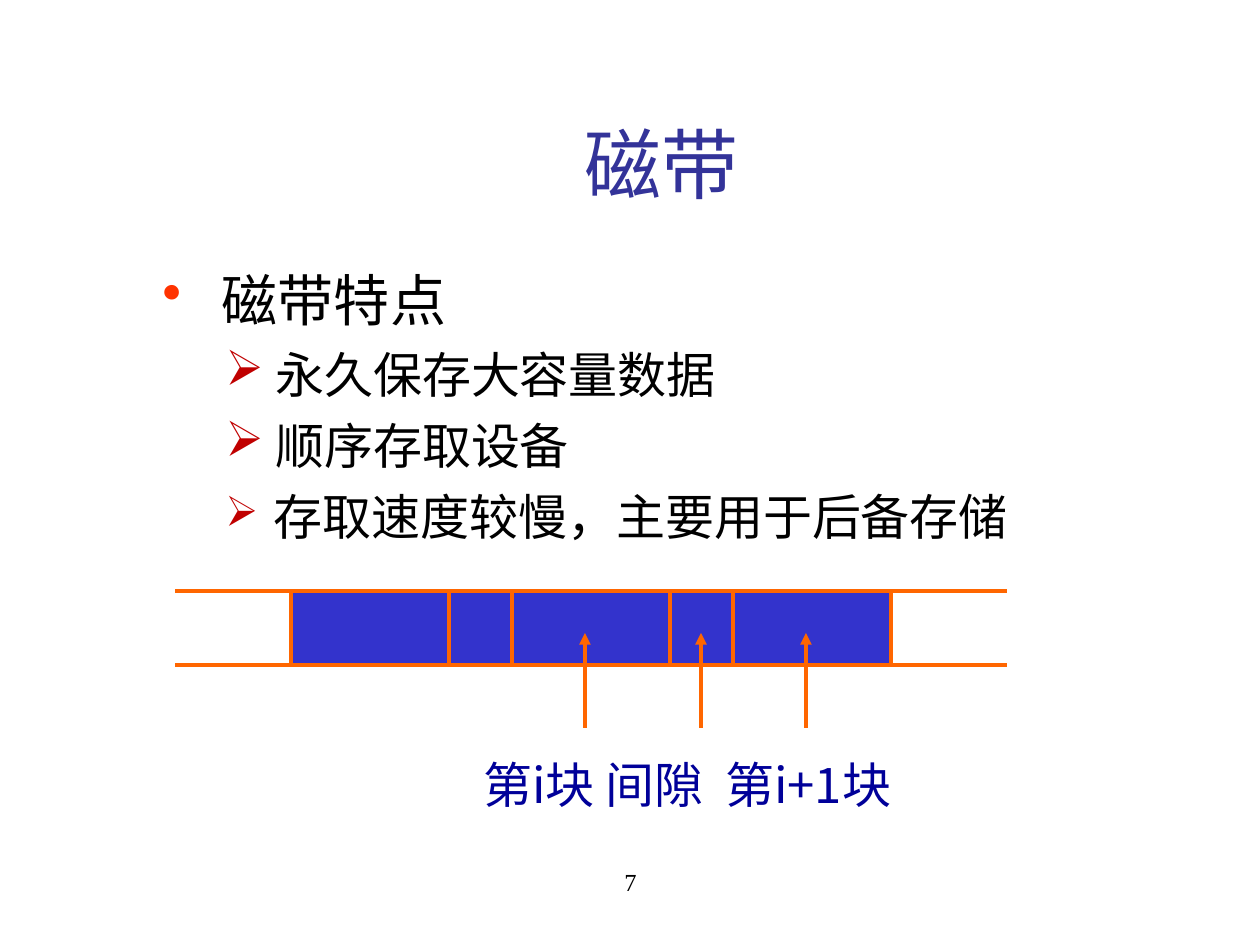
from dataclasses import dataclass
from itertools import accumulate

from lxml import etree
from pptx import Presentation
from pptx.dml.color import RGBColor
from pptx.enum.shapes import MSO_CONNECTOR, MSO_SHAPE
from pptx.enum.text import MSO_ANCHOR, MSO_AUTO_SIZE, PP_ALIGN
from pptx.oxml.ns import qn
from pptx.util import Emu, Pt

STRAIGHT = MSO_CONNECTOR.STRAIGHT
RECTANGLE = MSO_SHAPE.RECTANGLE
MIDDLE, TOP = MSO_ANCHOR.MIDDLE, MSO_ANCHOR.TOP
GROW, FIXED = MSO_AUTO_SIZE.SHAPE_TO_FIT_TEXT, MSO_AUTO_SIZE.NONE
CENTER = PP_ALIGN.CENTER
EMU_PER_PIXEL = 914400 / 126


@dataclass(frozen=True)
class Theme:
    cjk: str = "Noto Sans CJK SC"
    serif: str = "Times New Roman"
    title: str = "333399"
    text: str = "000000"
    caption: str = "000099"
    block: str = "3333CC"
    edge: str = "FF6600"
    dot: str = "FF3300"
    arrow_bullet: str = "C00000"
    title_size: int = 44
    heading_size: int = 32
    point_size: int = 28
    small_space: int = 24
    number_size: int = 14
    edge_width: float = 2.25


@dataclass(frozen=True)
class Level:
    bullet: str
    color: str
    margin: int
    hanging: int
    before: int
    size: int
    font: str


@dataclass(frozen=True)
class Point:
    text: str
    level: Level
    space_size: int


@dataclass(frozen=True)
class Stroke:
    x1: int
    y1: int
    x2: int
    y2: int
    arrow: bool = False


THEME = Theme()
HEADING = Level("•", THEME.dot, 47, 47, 0, THEME.heading_size, THEME.serif)
DETAIL = Level("➢", THEME.arrow_bullet, 102, 39, 7, THEME.point_size, THEME.cjk)
POINTS = [
    Point("磁带特点", HEADING, THEME.heading_size),
    Point("永久保存大容量数据", DETAIL, THEME.point_size),
    Point("顺序存取设备", DETAIL, THEME.point_size),
    Point("存取速度较慢，主要用于后备存储", DETAIL, THEME.small_space),
]

BLOCK, GAP = 158, 63
TAPE_LEFT, TAPE_TOP, TAPE_HEIGHT = 291, 591, 74
TAPE_END = 116
SEGMENTS = [BLOCK, GAP, BLOCK, GAP, BLOCK]
EDGES = list(accumulate(SEGMENTS, initial=TAPE_LEFT))
POINTERS = [585, 701, 806]
POINTER_START, POINTER_TIP = 728, 633


def px(pixels: float) -> Emu:
    return Emu(round(pixels * EMU_PER_PIXEL))


def rgb(value: str) -> RGBColor:
    return RGBColor.from_string(value)


def add_run(paragraph, text: str, *, size: int, color: str = THEME.text, font: str = THEME.cjk) -> None:
    run = paragraph.add_run()
    run.text = text
    run.font.size = Pt(size)
    run.font.name = font
    run.font.color.rgb = rgb(color)
    east_asian = etree.SubElement(run.font._element, qn("a:ea"))
    east_asian.set("typeface", THEME.cjk)


def write_text(shape, text: str, *, align=None, anchor=TOP, wrap: bool = True, auto_size=FIXED, **style) -> None:
    frame = shape.text_frame
    frame.word_wrap = wrap
    frame.auto_size = auto_size
    frame.vertical_anchor = anchor
    paragraph = frame.paragraphs[0]
    paragraph.alignment = align
    add_run(paragraph, text, **style)


def add_box(slide, left: int, top: int, width: int, height: int):
    return slide.shapes.add_textbox(px(left), px(top), px(width), px(height))


def write_point(paragraph, point: Point) -> None:
    level = point.level
    paragraph.level = 0 if level is HEADING else 1
    paragraph.line_spacing = Pt(round(level.size * 1.2, 1))
    paragraph.space_before = Pt(level.before)
    properties = paragraph._p.get_or_add_pPr()
    properties.set("marL", str(px(level.margin)))
    properties.set("indent", str(px(-level.hanging)))
    bullet_color = etree.SubElement(properties, qn("a:buClr"))
    etree.SubElement(bullet_color, qn("a:srgbClr")).set("val", level.color)
    etree.SubElement(properties, qn("a:buChar")).set("char", level.bullet)
    add_run(paragraph, " ", size=point.space_size, font=level.font)
    add_run(paragraph, point.text, size=level.size, font=level.font)


def write_points(slide) -> None:
    frame = add_box(slide, 150, 259, 1016, 580).text_frame
    frame.word_wrap = True
    for index, point in enumerate(POINTS):
        write_point(frame.add_paragraph() if index else frame.paragraphs[0], point)


def draw_segment(slide, left: int, width: int) -> None:
    segment = slide.shapes.add_shape(RECTANGLE, px(left), px(TAPE_TOP), px(width), px(TAPE_HEIGHT))
    segment.shadow.inherit = False
    segment.fill.solid()
    segment.fill.fore_color.rgb = rgb(THEME.block)
    segment.line.color.rgb = rgb(THEME.edge)
    segment.line.width = Pt(THEME.edge_width)


def draw_stroke(slide, stroke: Stroke) -> None:
    line = slide.shapes.add_connector(STRAIGHT, px(stroke.x1), px(stroke.y1), px(stroke.x2), px(stroke.y2))
    line.line.color.rgb = rgb(THEME.edge)
    line.line.width = Pt(THEME.edge_width)
    if stroke.arrow:
        etree.SubElement(line.line._get_or_add_ln(), qn("a:tailEnd")).set("type", "triangle")
    etree.SubElement(line._element.spPr, qn("a:effectLst"))


def draw_tape(slide) -> None:
    for left, width in zip(EDGES, SEGMENTS):
        draw_segment(slide, left, width)
    tape_ends = [
        Stroke(right, y, right - TAPE_END, y)
        for right in (TAPE_LEFT, EDGES[-1] + TAPE_END)
        for y in (TAPE_TOP, TAPE_TOP + TAPE_HEIGHT)
    ]
    pointers = [Stroke(x, POINTER_START, x, POINTER_TIP, arrow=True) for x in POINTERS]
    for stroke in tape_ends + pointers:
        draw_stroke(slide, stroke)


def build() -> None:
    deck = Presentation()
    deck.slide_width, deck.slide_height = px(1260), px(945)
    slide = deck.slides.add_slide(deck.slide_layouts[5])
    title = slide.shapes.title
    title.left, title.top, title.width, title.height = px(126), px(84), px(1071), px(158)
    write_text(title, "磁带", align=CENTER, anchor=MIDDLE, size=THEME.title_size, color=THEME.title)
    write_points(slide)
    draw_tape(slide)
    write_text(add_box(slide, 471, 748, 557, 72), "第i块 间隙  第i+1块", anchor=MIDDLE,
               wrap=False, auto_size=GROW, size=THEME.point_size, color=THEME.caption)
    write_text(add_box(slide, 431, 861, 399, 63), "7", align=CENTER,
               size=THEME.number_size, font=THEME.serif)
    deck.save("out.pptx")


build()
